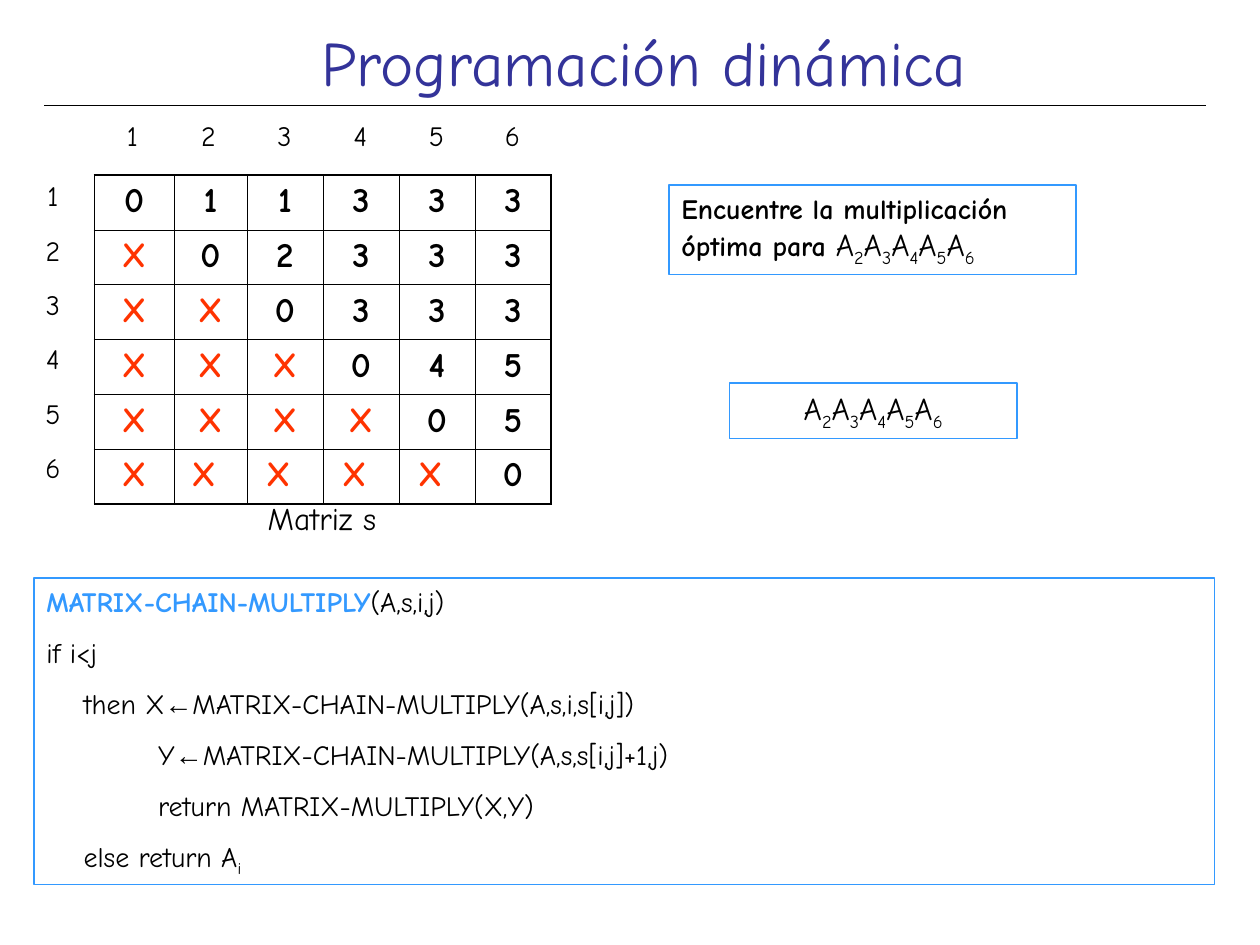
from lxml import etree
from pptx import Presentation
from pptx.dml.color import RGBColor
from pptx.enum.shapes import MSO_CONNECTOR, MSO_SHAPE
from pptx.enum.text import MSO_ANCHOR, MSO_AUTO_SIZE, PP_ALIGN
from pptx.oxml.ns import qn
from pptx.util import Inches, Pt

FONT = "Comic Neue"
BLACK, WHITE, NAVY, BLUE, RED = "000000", "FFFFFF", "333399", "3399FF", "FF3300"
NO_STYLE = "{2D5ABB26-0587-4C30-8999-92F81FD0307C}"

SPLITS = ["011333", "X02333", "XX0333", "XXX045", "XXXX05", "XXXXX0"]
INDICES = "123456"
CODE = [
    "(A,s,i,j)",
    "if i<j",
    "    then X←MATRIX-CHAIN-MULTIPLY(A,s,i,s[i,j])",
    "            Y←MATRIX-CHAIN-MULTIPLY(A,s,s[i,j]+1,j)",
    "            return MATRIX-MULTIPLY(X,Y)",
    "    else return A",
]


def rgb(value):
    return RGBColor.from_string(value)


def format_run(run, size, color=BLACK, bold=False, font=FONT):
    run.font.name = font
    run.font.size = Pt(size)
    run.font.bold = bold
    run.font.color.rgb = rgb(color)


def add_run(paragraph, text, size, subscript=False, **style):
    run = paragraph.add_run()
    run.text = text
    format_run(run, size, **style)
    if subscript:
        run.font._element.set("baseline", "-25000")


def add_matrix_chain(paragraph):
    """Write the product A2...A6 with subscripts."""
    for index in INDICES[1:]:
        add_run(paragraph, "A", 18)
        add_run(paragraph, index, 18, subscript=True)


def add_title(slide, box):
    title = slide.shapes.title
    title.left, title.top, title.width, title.height = map(Inches, box)
    frame = title.text_frame
    frame.text = "Programación dinámica"
    frame.word_wrap = False
    frame.auto_size = MSO_AUTO_SIZE.NONE
    frame.vertical_anchor = MSO_ANCHOR.TOP
    frame.paragraphs[0].alignment = PP_ALIGN.LEFT
    format_run(frame.paragraphs[0].runs[0], 36, NAVY)


def add_rule(slide, left, right, y):
    rule = slide.shapes.add_connector(
        MSO_CONNECTOR.STRAIGHT, Inches(left), Inches(y), Inches(right), Inches(y))
    rule.line.color.rgb = rgb(BLACK)
    rule.line.width = Pt(0.75)
    etree.SubElement(rule._element.spPr, qn("a:effectLst"))


def add_outlined_box(slide, box, alignment=PP_ALIGN.LEFT):
    """Add an unfilled blue frame and return its text frame."""
    outline = slide.shapes.add_shape(MSO_SHAPE.RECTANGLE, *map(Inches, box))
    outline.shadow.inherit = False
    outline.fill.background()
    outline.line.color.rgb = rgb(BLUE)
    outline.line.width = Pt(1)
    frame = outline.text_frame
    frame.word_wrap = True
    frame.vertical_anchor = MSO_ANCHOR.TOP
    frame.paragraphs[0].alignment = alignment
    return frame


def add_plain_table(slide, rows, box):
    """Add an evenly divided, unstyled table of centred text."""
    left, top, width, height = map(Inches, box)
    table = slide.shapes.add_table(
        len(rows), len(rows[0]), left, top, width, height).table
    table.first_row = table.horz_banding = False
    table._tbl.tblPr.find(qn("a:tableStyleId")).text = NO_STYLE
    for column in table.columns:
        column.width = width // len(rows[0])
    for row, values in zip(table.rows, rows):
        row.height = height // len(rows)
        for cell, value in zip(row.cells, values):
            cell.text = value
            cell.fill.background()
            paragraph = cell.text_frame.paragraphs[0]
            paragraph.alignment = PP_ALIGN.CENTER
            format_run(paragraph.runs[0], 16)
    return table


def set_borders(cell, widths):
    """Draw black borders; widths run left, right, top, bottom."""
    properties = cell._tc.get_or_add_tcPr()
    for position, (side, width) in enumerate(zip("LRTB", widths)):
        line = etree.Element(qn(f"a:ln{side}"), w=str(Pt(width)))
        fill = etree.SubElement(line, qn("a:solidFill"))
        etree.SubElement(fill, qn("a:srgbClr"), val=BLACK)
        properties.insert(position, line)


def add_split_matrix(slide, box):
    left, top, width, height = box
    # Column and row numbers
    add_plain_table(slide, [INDICES], (left, top - 0.48, width, 0.43))
    add_plain_table(slide, list(INDICES), (left - 0.63, top, 0.6, 2.59))

    # Matrix values
    table = add_plain_table(slide, SPLITS, box)
    table.columns[0].width = Inches(0.63)
    table.columns[1].width = Inches(0.58)
    last = len(SPLITS) - 1
    for r, values in enumerate(SPLITS):
        for c, value in enumerate(values):
            cell = table.cell(r, c)
            edges = (c == 0, c == last, r == 0, r == last)
            set_borders(cell, [1.08 if outer else 0.45 for outer in edges])
            cell.fill.solid()
            cell.fill.fore_color.rgb = rgb(WHITE)
            format_run(cell.text_frame.paragraphs[0].runs[0], 20,
                       RED if value == "X" else BLACK, bold=True)
            if r == last and 0 < c < last:
                cell.margin_right = Inches(0.2)

    # Caption
    caption = slide.shapes.add_textbox(
        Inches(left + 0.31), Inches(top + 2.52), Inches(2.99), Inches(0.4))
    frame = caption.text_frame
    frame.word_wrap = True
    frame.text = "Matriz s"
    frame.paragraphs[0].alignment = PP_ALIGN.CENTER
    format_run(frame.paragraphs[0].runs[0], 18)


def add_question(slide, box):
    paragraph = add_outlined_box(slide, box).paragraphs[0]
    add_run(paragraph, "Encuentre la multiplicación óptima para ", 16, bold=True)
    add_matrix_chain(paragraph)


def add_chain(slide, box):
    add_matrix_chain(add_outlined_box(slide, box, PP_ALIGN.CENTER).paragraphs[0])


def add_algorithm(slide, box):
    frame = add_outlined_box(slide, box)
    paragraph = frame.paragraphs[0]
    add_run(paragraph, "MATRIX-CHAIN-MULTIPLY", 16, color=BLUE, bold=True)
    for number, code_line in enumerate(CODE):
        if number:
            paragraph = frame.add_paragraph()
            paragraph.alignment = PP_ALIGN.LEFT
            paragraph.space_before = Pt(10)
        before, arrow, after = code_line.partition("←")
        add_run(paragraph, before, 16)
        if arrow:
            add_run(paragraph, arrow, 16, font="Arial")
            add_run(paragraph, after, 16)
    add_run(paragraph, "i", 16, subscript=True)


def main():
    presentation = Presentation()
    presentation.slide_width = Inches(10)
    presentation.slide_height = Inches(7.5)
    slide = presentation.slides.add_slide(presentation.slide_layouts[5])
    add_title(slide, (2.45, 0.14, 5.34, 0.7))
    add_rule(slide, 0.35, 9.57, 0.84)
    add_split_matrix(slide, (0.75, 1.39, 3.62, 2.61))
    add_question(slide, (5.31, 1.47, 3.23, 0.71))
    add_chain(slide, (5.79, 3.04, 2.28, 0.44))
    add_algorithm(slide, (0.27, 4.59, 9.37, 2.43))
    presentation.save("out.pptx")


if __name__ == "__main__":
    main()
